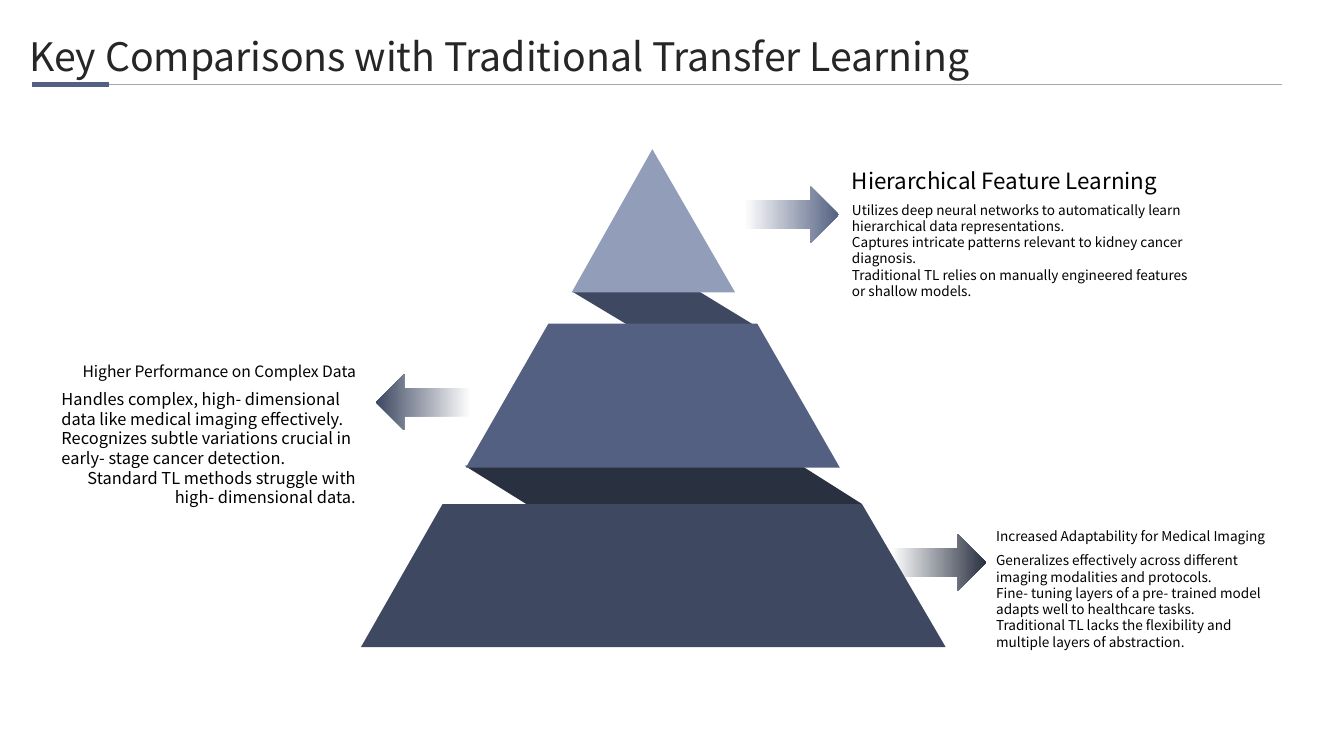
from lxml.etree import SubElement
from pptx import Presentation
from pptx.dml.color import RGBColor
from pptx.enum.shapes import MSO_CONNECTOR, MSO_SHAPE
from pptx.enum.text import MSO_ANCHOR, PP_ALIGN
from pptx.oxml.ns import qn
from pptx.util import Inches, Pt

FONT = "Noto Sans CJK SC"
WHITE = RGBColor(0xFF, 0xFF, 0xFF)
BLACK = RGBColor(0x00, 0x00, 0x00)
TITLE_GRAY = RGBColor(0x26, 0x26, 0x26)
RULE_GRAY = RGBColor(0xA6, 0xA6, 0xA6)
NIGHT = RGBColor(0x29, 0x30, 0x40)
NAVY = RGBColor(0x3E, 0x48, 0x61)
SLATE = RGBColor(0x53, 0x60, 0x81)
MIST = RGBColor(0x92, 0x9D, 0xB9)

LEFT, RIGHT = PP_ALIGN.LEFT, PP_ALIGN.RIGHT
TITLE = "Key Comparisons with Traditional Transfer Learning"

PYRAMID = [
    (NIGHT, [(8.55, 5), (5.22, 5), (4.61, 4.62), (7.95, 4.62)]),
    (NAVY, [(7.52, 3.25), (6.27, 3.25), (5.67, 2.89), (6.93, 2.89)]),
    (NAVY, [(8.55, 5), (9.38, 6.42), (3.58, 6.42), (4.39, 5)]),
    (SLATE, [(5.44, 3.21), (7.51, 3.21), (8.33, 4.64), (4.62, 4.64)]),
    (MIST, [(5.67, 2.9), (6.47, 1.48), (7.29, 2.9)]),
]

ARROWS = [
    (8.84, 5.3, NIGHT, False),
    (7.38, 1.85, SLATE, False),
    (3.73, 3.71, NAVY, True),
]

CALLOUTS = [
    {
        "box": (8.45, 1.62, 3.39), "sizes": (16, 9.7),
        "heading": ("Hierarchical Feature Learning", LEFT),
        "body": [
            ("Utilizes deep neural networks to automatically learn hierarchical data representations.", LEFT),
            ("Captures intricate patterns relevant to kidney cancer diagnosis.", LEFT),
            ("Traditional TL relies on manually engineered features or shallow models.", LEFT),
        ],
    },
    {
        "box": (0.61, 3.48, 2.92), "sizes": (11.2, 11.7),
        "heading": ("Higher Performance on Complex Data", RIGHT),
        "body": [
            ("Handles complex, high- dimensional data like medical imaging effectively.", LEFT),
            ("Recognizes subtle variations crucial in early- stage cancer detection.", LEFT),
            ("Standard TL methods struggle with high- dimensional data.", RIGHT),
        ],
    },
    {
        "box": (9.88, 5.1, 2.86), "sizes": (9.7, 9.7),
        "heading": ("Increased Adaptability for Medical Imaging", LEFT),
        "body": [
            ("Generalizes effectively across different imaging modalities and protocols.", LEFT),
            ("Fine- tuning layers of a pre- trained model adapts well to healthcare tasks.", LEFT),
            ("Traditional TL lacks the flexibility and multiple layers of abstraction.", LEFT),
        ],
    },
]

RULES = [(0.34, 12.71, RULE_GRAY, 0.5), (0.34, 1.06, SLATE, 3.5)]
RULE_TOP = 0.84
HEADING_HEIGHT, BODY_OFFSET, BODY_HEIGHT = 0.3, 0.38, 1.24


def add_text(slide, box, lines, size, color=BLACK, anchor=MSO_ANCHOR.TOP, inset=(0, 0)):
    shape = slide.shapes.add_textbox(*map(Inches, box))
    frame = shape.text_frame
    frame.word_wrap = True
    frame.vertical_anchor = anchor
    frame.margin_left = frame.margin_right = Inches(inset[0])
    frame.margin_top = frame.margin_bottom = Inches(inset[1])
    for index, (text, alignment) in enumerate(lines):
        paragraph = frame.add_paragraph() if index else frame.paragraphs[0]
        paragraph.text = text
        paragraph.alignment = alignment
        paragraph.font.name = FONT
        paragraph.font.size = Pt(size)
        paragraph.font.color.rgb = color


def add_pyramid_part(slide, color, points):
    corners = [(Inches(x), Inches(y)) for x, y in points]
    builder = slide.shapes.build_freeform(*corners[0])
    builder.add_line_segments(corners[1:], close=True)
    shape = builder.convert_to_shape()
    shape.shadow.inherit = False
    shape.fill.solid()
    shape.fill.fore_color.rgb = color
    shape.line.fill.background()


def add_arrow(slide, left, top, color, flipped):
    shape = slide.shapes.add_shape(
        MSO_SHAPE.RIGHT_ARROW, Inches(left), Inches(top), Inches(0.94), Inches(0.56))
    shape.shadow.inherit = False
    shape.line.fill.background()
    shape.fill.gradient()
    shape.fill.gradient_angle = 0
    for stop, position, stop_color in zip(shape.fill.gradient_stops, (0, 1), (WHITE, color)):
        stop.position = position
        stop.color.rgb = stop_color
    if flipped:
        shape.element.spPr.find(qn("a:xfrm")).set("flipH", "1")


def add_rule(slide, start, end, color, width):
    rule = slide.shapes.add_connector(
        MSO_CONNECTOR.STRAIGHT, Inches(start), Inches(RULE_TOP), Inches(end), Inches(RULE_TOP))
    rule.line.color.rgb = color
    rule.line.width = Pt(width)
    rule.element.spPr.find(qn("a:ln")).set("cap", "sq")
    SubElement(rule.element.spPr, qn("a:effectLst"))


def main():
    presentation = Presentation()
    presentation.slide_width = Inches(13.33)
    presentation.slide_height = Inches(7.5)
    slide = presentation.slides.add_slide(presentation.slide_layouts[6])

    add_arrow(slide, *ARROWS[0])
    for color, points in PYRAMID:
        add_pyramid_part(slide, color, points)
    for arrow in ARROWS[1:]:
        add_arrow(slide, *arrow)
    for callout in CALLOUTS:
        left, top, width = callout["box"]
        heading_size, body_size = callout["sizes"]
        add_text(slide, (left, top, width, HEADING_HEIGHT), [callout["heading"]],
                 heading_size, anchor=MSO_ANCHOR.BOTTOM)
        add_text(slide, (left, top + BODY_OFFSET, width, BODY_HEIGHT),
                 callout["body"], body_size)
    add_text(slide, (0.19, 0.27, 12.51, 0.53), [(TITLE, LEFT)], 28,
             color=TITLE_GRAY, inset=(0.1, 0.05))
    for rule in RULES:
        add_rule(slide, *rule)

    presentation.save("out.pptx")


if __name__ == "__main__":
    main()
